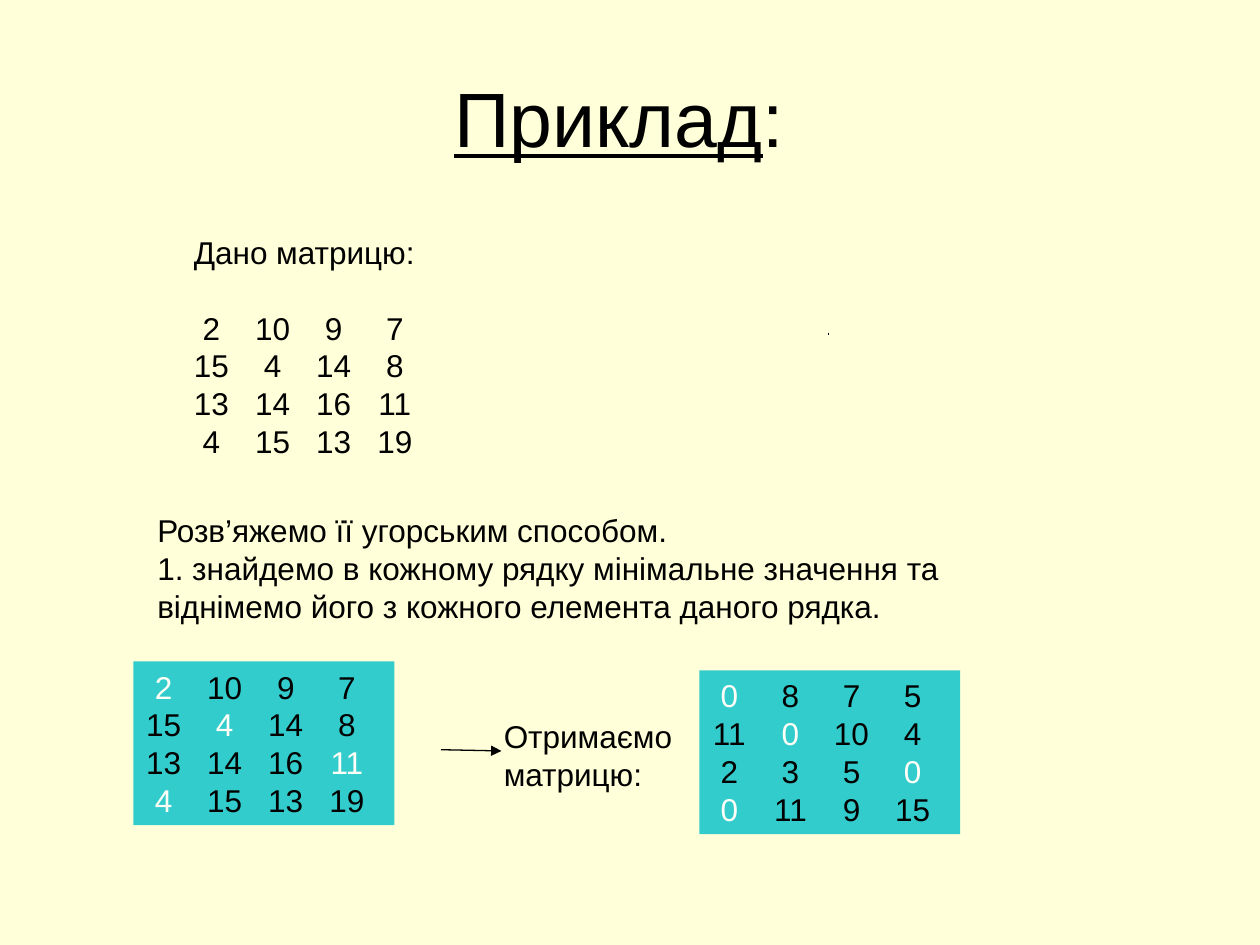
from dataclasses import dataclass

from lxml.etree import SubElement
from pptx import Presentation
from pptx.dml.color import RGBColor
from pptx.enum.shapes import MSO_CONNECTOR as Connector, MSO_SHAPE as Shape
from pptx.enum.text import MSO_ANCHOR as Anchor, MSO_AUTO_SIZE as AutoSize, PP_ALIGN as Align
from pptx.oxml.ns import qn
from pptx.util import Inches, Pt

Matrix = list[list[int]]

BLACK, CREAM, TEAL, PALE = "000000", "FFFFD9", "33CCCC", "FFFFF7"
FONT = "Arial"
LINE_PITCH = 21.6
COLUMN_CENTRES = [0.14 + 0.485 * column for column in range(4)]

GIVEN: Matrix = [[2, 10, 9, 7], [15, 4, 14, 8], [13, 14, 16, 11], [4, 15, 13, 19]]
REDUCED: Matrix = [[value - min(row) for value in row] for row in GIVEN]


@dataclass
class Box:
    left: float
    top: float
    width: float
    height: float

    def lengths(self):
        return [Inches(v) for v in (self.left, self.top, self.width, self.height)]


@dataclass
class TextBlock:
    box: Box
    lines: list[str]


@dataclass
class MatrixPanel:
    box: Box
    rows: Matrix


@dataclass
class Line:
    start: tuple[float, float]
    end: tuple[float, float]
    arrow: bool = False


def rgb(color: str) -> RGBColor:
    return RGBColor.from_string(color)


def add_run(paragraph, text: str, color: str = BLACK, size: int = 18, underline: bool = False):
    run = paragraph.add_run()
    run.text = text
    font_format = {"name": FONT, "size": Pt(size), "underline": underline}
    for attribute, value in font_format.items():
        setattr(run.font, attribute, value)
    run.font.color.rgb = rgb(color)


def prepare_frame(frame, anchor=Anchor.TOP):
    frame_format = {
        "word_wrap": True, "auto_size": AutoSize.NONE, "vertical_anchor": anchor,
        "margin_left": Inches(0.1), "margin_right": Inches(0.1),
        "margin_top": Inches(0.05), "margin_bottom": Inches(0.05),
    }
    for attribute, value in frame_format.items():
        setattr(frame, attribute, value)


def next_paragraph(frame):
    """Return the empty first paragraph, or a new one after the existing text."""
    first = frame.paragraphs[0]
    paragraph = frame.add_paragraph() if first.runs else first
    paragraph.alignment = Align.LEFT
    paragraph.line_spacing = Pt(LINE_PITCH)
    return paragraph


def write_matrix(frame, rows: Matrix, highlight_minimum: bool = False):
    """Write one paragraph per row, with each number on a centred tab stop."""
    for row in rows:
        paragraph = next_paragraph(frame)
        tabs = SubElement(paragraph._p.get_or_add_pPr(), qn("a:tabLst"))
        for centre in COLUMN_CENTRES:
            SubElement(tabs, qn("a:tab"), pos=str(Inches(centre)), algn="ctr")
        for value in row:
            marked = highlight_minimum and value == min(row)
            add_run(paragraph, f"\t{value}", PALE if marked else BLACK)


def add_text(slide, block: TextBlock):
    frame = slide.shapes.add_textbox(*block.box.lengths()).text_frame
    prepare_frame(frame)
    for line in block.lines:
        add_run(next_paragraph(frame), line)
    return frame


def add_panel(slide, panel: MatrixPanel):
    rectangle = slide.shapes.add_shape(Shape.RECTANGLE, *panel.box.lengths())
    rectangle.shadow.inherit = False
    rectangle.fill.solid()
    rectangle.fill.fore_color.rgb = rgb(TEAL)
    rectangle.line.fill.background()
    prepare_frame(rectangle.text_frame)
    write_matrix(rectangle.text_frame, panel.rows, highlight_minimum=True)


def add_line(slide, line: Line):
    points = [Inches(v) for v in (*line.start, *line.end)]
    connector = slide.shapes.add_connector(Connector.STRAIGHT, *points)
    connector.line.color.rgb = rgb(BLACK)
    connector.line.width = Pt(0.75)
    if line.arrow:
        SubElement(connector.line._get_or_add_ln(), qn("a:tailEnd"), type="triangle")
    SubElement(connector._element.spPr, qn("a:effectLst"))


def set_title(slide, box: Box):
    title = slide.shapes.title
    title.left, title.top, title.width, title.height = box.lengths()
    prepare_frame(title.text_frame, Anchor.MIDDLE)
    paragraph = title.text_frame.paragraphs[0]
    paragraph.alignment = Align.CENTER
    add_run(paragraph, "Приклад", size=44, underline=True)
    add_run(paragraph, ": ", size=44)


GIVEN_BLOCK = TextBlock(Box(1.44, 1.8, 2.07, 1.9), ["Дано матрицю:"])
TEXT_BLOCKS = [
    TextBlock(Box(1.15, 4.01, 6.6, 1), [
        "Розв’яжемо її угорським способом.",
        "1. знайдемо в кожному рядку мінімальне значення та",
        "віднімемо його з кожного елемента даного рядка.",
    ]),
    TextBlock(Box(3.9, 5.64, 1.6, 0.7), ["Отримаємо", "матрицю:"]),
]
PANELS = [
    MatrixPanel(Box(1.06, 5.25, 2.07, 1.3), GIVEN),
    MatrixPanel(Box(5.55, 5.32, 2.07, 1.3), REDUCED),
]
LINES = [
    Line((6.57, 2.65), (6.58, 2.65)),
    Line((3.5, 5.95), (3.98, 5.96), arrow=True),
]


def main():
    presentation = Presentation()
    presentation.slide_width, presentation.slide_height = Inches(10), Inches(7.5)
    slide = presentation.slides.add_slide(presentation.slide_layouts[5])
    slide.background.fill.solid()
    slide.background.fill.fore_color.rgb = rgb(CREAM)

    set_title(slide, Box(0.5, 0.3, 9, 1.25))
    given_frame = add_text(slide, GIVEN_BLOCK)
    write_matrix(given_frame, GIVEN)
    given_frame.paragraphs[0].space_after = Pt(LINE_PITCH)
    for panel in PANELS:
        add_panel(slide, panel)
    for block in TEXT_BLOCKS:
        add_text(slide, block)
    for line in LINES:
        add_line(slide, line)
    presentation.save("out.pptx")


if __name__ == "__main__":
    main()
